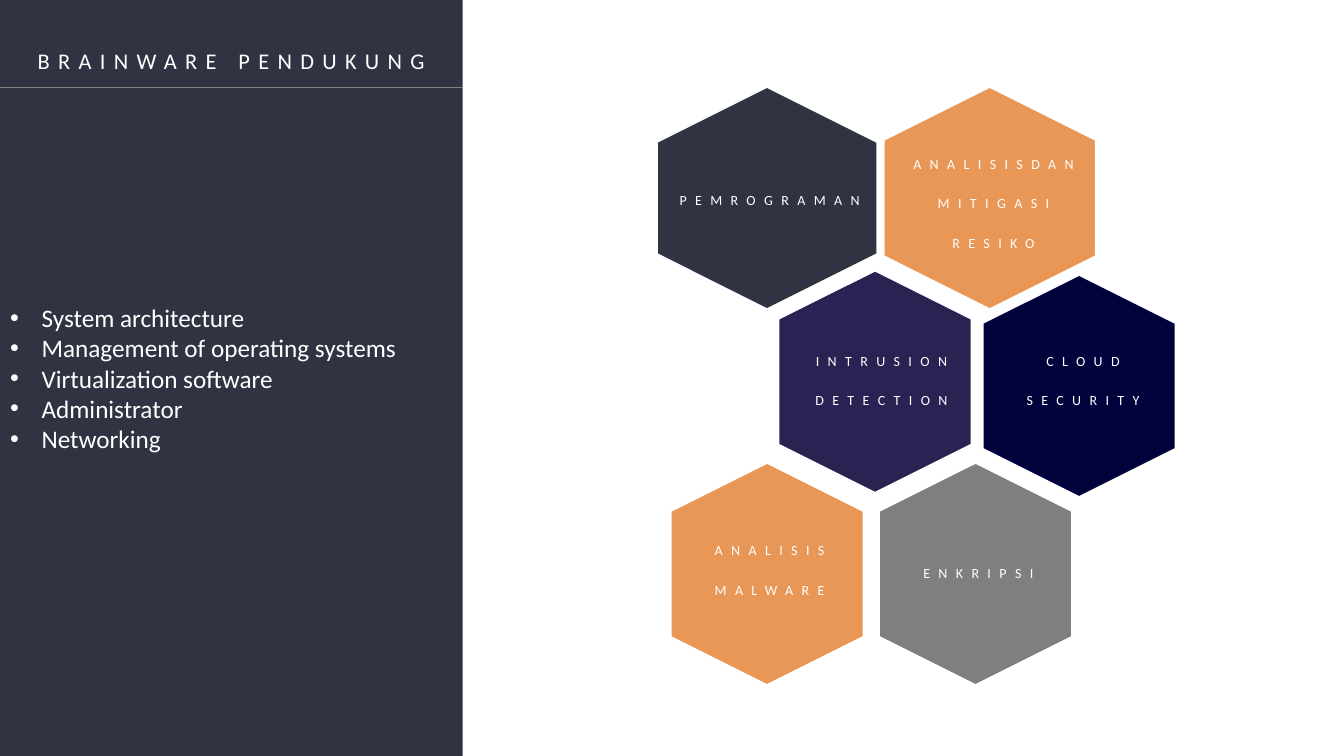
from pptx import Presentation
from pptx.dml.color import RGBColor
from pptx.enum.shapes import MSO_CONNECTOR, MSO_SHAPE
from pptx.enum.text import MSO_ANCHOR, MSO_AUTO_SIZE, PP_ALIGN
from pptx.oxml.ns import qn
from pptx.util import Pt
from lxml import etree

CENTER = PP_ALIGN.CENTER
LEFT = PP_ALIGN.LEFT
MIDDLE = MSO_ANCHOR.MIDDLE
NO_AUTOFIT = MSO_AUTO_SIZE.NONE
RECTANGLE = MSO_SHAPE.RECTANGLE
HEXAGON = MSO_SHAPE.HEXAGON
STRAIGHT = MSO_CONNECTOR.STRAIGHT
COLORS = {
    "slate": "2F3342", "orange": "E99757", "purple": "2C2153", "navy": "01023B",
    "grey": "7F7F7F", "rule": "808080", "white": "FFFFFF",
}
FONT = "Calibri"

HEADING = "BRAINWARE PENDUKUNG"
ROLES = [
    "System architecture",
    "Management of operating systems",
    "Virtualization software",
    "Administrator",
    "Networking",
]
SKILLS = [
    (["ANALISISDAN", "MITIGASI", "RESIKO"], "orange", (707, 141.5), 151.2, (709.6, 142.2)),
    (["PEMROGRAMAN"], "slate", (547.9, 141.5), 157, (549.7, 140)),
    (["INTRUSION", "DETECTION"], "purple", (625, 272.7), 137.5, (629.6, 268.9)),
    (["CLOUD", "SECURITY"], "navy", (770.8, 275.7), 137.5, (773.6, 268.9)),
    (["ENKRIPSI"], "grey", (696.8, 410), 137.5, (698.8, 406.4)),
    (["ANALISIS", "MALWARE"], "orange", (547.9, 410), 137.5, (549.7, 404)),
]

SLIDE_W, SLIDE_H = 960, 540
PANEL_W = 330.5
RULE_Y = 62.6
CELL_H = 158.4
LABEL_W, LABEL_H = 190.8, 32.4
TRACKING = 6
BULLET_INDENT = 22.5


def rgb(name):
    return RGBColor.from_string(COLORS[name])


def place(shape, left, top, width, height):
    shape.left, shape.top = Pt(left), Pt(top)
    shape.width, shape.height = Pt(width), Pt(height)


def set_frame(frame, side, edge):
    frame.auto_size = NO_AUTOFIT
    frame.word_wrap = True
    frame.vertical_anchor = MIDDLE
    frame.margin_left = frame.margin_right = Pt(side)
    frame.margin_top = frame.margin_bottom = Pt(edge)


def add_run(paragraph, words, size, tracking):
    run = paragraph.add_run()
    run.text = words
    run.font.name = FONT
    run.font.size = Pt(size)
    run.font.color.rgb = rgb("white")
    if tracking:
        run.font._element.set("spc", str(tracking * 100))


def write_lines(frame, lines, size, align, spacing=1.0, before=0, tracking=0):
    for i, line in enumerate(lines):
        paragraph = frame.add_paragraph() if i else frame.paragraphs[0]
        paragraph.alignment = align
        paragraph.line_spacing = spacing
        paragraph.space_before = Pt(before if i else 0)
        add_run(paragraph, line, size, tracking)


def add_filled(slide, kind, box, color):
    shape = slide.shapes.add_shape(kind, *map(Pt, box))
    shape.shadow.inherit = False
    shape.fill.solid()
    shape.fill.fore_color.rgb = rgb(color)
    return shape


def add_panel(slide):
    panel = add_filled(slide, RECTANGLE, (0, 0, PANEL_W, SLIDE_H), "slate")
    panel.line.fill.background()
    slide.shapes._spTree.insert(2, panel._element)

    heading = slide.shapes.title
    place(heading, 0, 22.6, PANEL_W, LABEL_H)
    set_frame(heading.text_frame, 0, 3.6)
    write_lines(heading.text_frame, [HEADING], 16, CENTER, 1.5, tracking=TRACKING)

    roles = slide.placeholders[1]
    place(roles, 0, 0, PANEL_W, SLIDE_H)
    set_frame(roles.text_frame, 7.2, 3.6)
    write_lines(roles.text_frame, ROLES, 18, LEFT)
    for paragraph in roles.text_frame.paragraphs:
        properties = paragraph._p.get_or_add_pPr()
        properties.set("marL", str(Pt(BULLET_INDENT)))
        properties.set("indent", str(-Pt(BULLET_INDENT)))

    rule = slide.shapes.add_connector(
        STRAIGHT, Pt(0), Pt(RULE_Y), Pt(PANEL_W), Pt(RULE_Y))
    rule.line.color.rgb = rgb("rule")
    rule.line.width = Pt(0.5)
    etree.SubElement(rule._element.spPr, qn("a:effectLst"))


def add_skills(slide):
    for _, color, (x, y), breadth, _ in SKILLS:
        box = (x - CELL_H / 2, y - breadth / 2, CELL_H, breadth)
        cell = add_filled(slide, HEXAGON, box, color)
        cell.rotation = 90
        cell.line.color.rgb = rgb("white")
        cell.line.width = Pt(1)
    for words, _, _, _, (x, y) in SKILLS:
        box = (x - LABEL_W / 2, y - LABEL_H / 2, LABEL_W, LABEL_H)
        label = slide.shapes.add_textbox(*map(Pt, box))
        set_frame(label.text_frame, 0, 3.6)
        write_lines(label.text_frame, words, 10, CENTER, 1.5, 10, TRACKING)


def main():
    deck = Presentation()
    deck.slide_width, deck.slide_height = Pt(SLIDE_W), Pt(SLIDE_H)
    slide = deck.slides.add_slide(deck.slide_layouts[1])
    add_panel(slide)
    add_skills(slide)
    deck.save("out.pptx")


if __name__ == "__main__":
    main()
